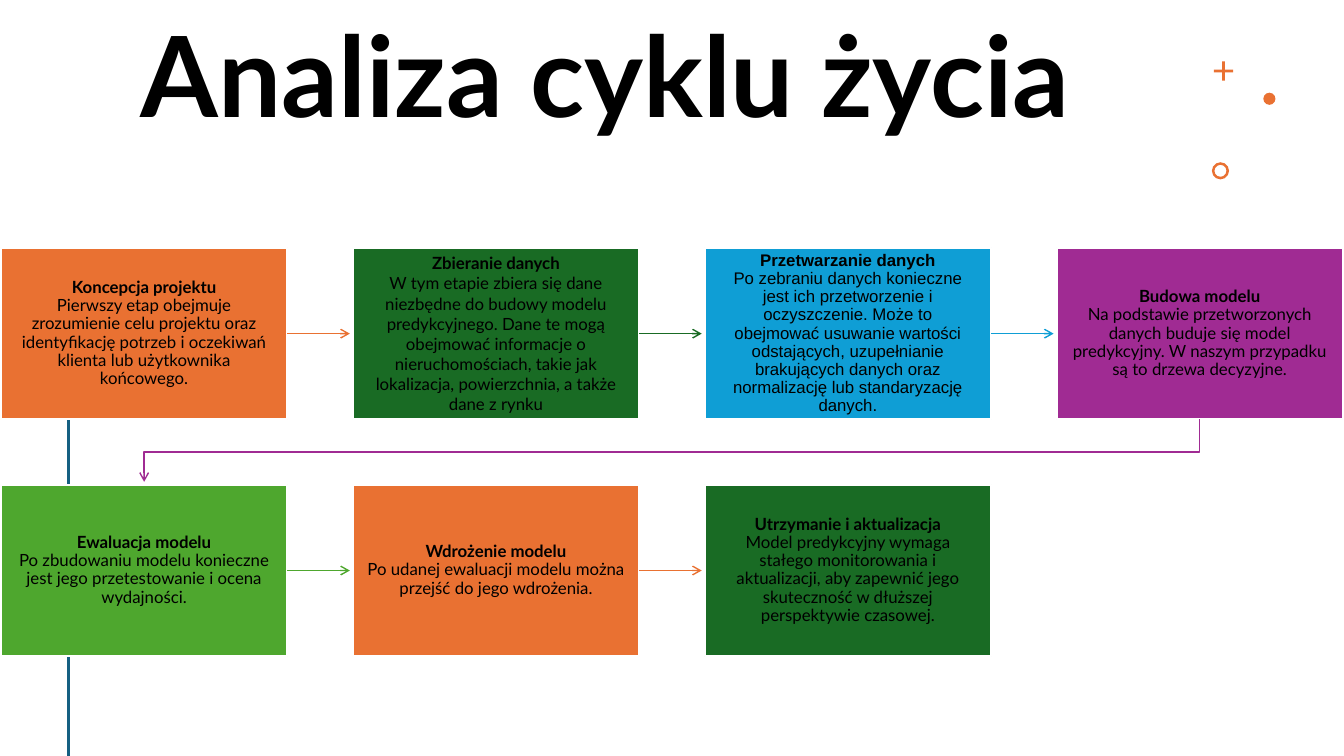
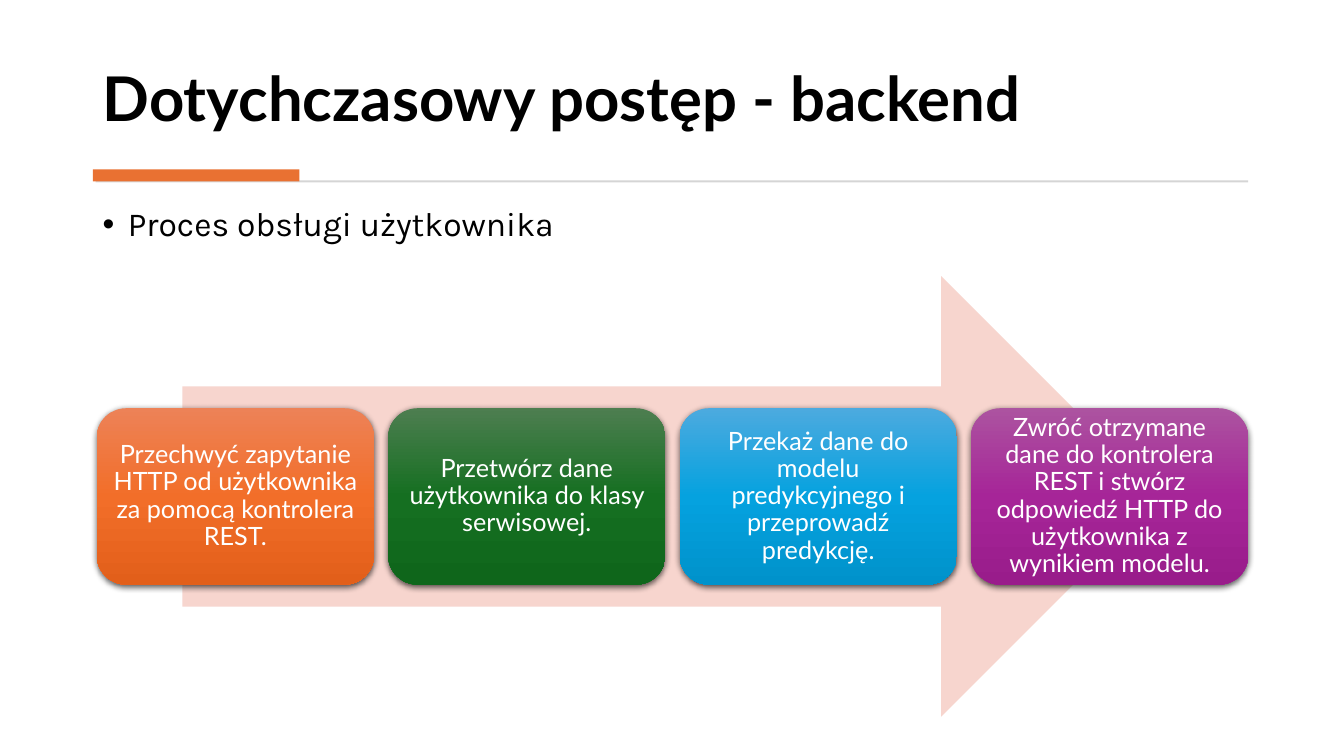
from copy import deepcopy

from lxml.etree import SubElement
from pptx import Presentation
from pptx.dml.color import RGBColor
from pptx.enum.shapes import MSO_CONNECTOR, MSO_SHAPE
from pptx.enum.text import MSO_ANCHOR, PP_ALIGN
from pptx.oxml import parse_xml
from pptx.oxml.ns import nsdecls, qn
from pptx.util import Inches, Pt

BLACK = RGBColor(0x00, 0x00, 0x00)
WHITE = RGBColor(0xFF, 0xFF, 0xFF)
ORANGE = RGBColor(0xE9, 0x71, 0x32)
DARK_GREEN = RGBColor(0x19, 0x6B, 0x24)
BLUE = RGBColor(0x0F, 0x9E, 0xD5)
PURPLE = RGBColor(0xA0, 0x2B, 0x93)
GREEN = RGBColor(0x4E, 0xA7, 0x2E)
TEAL = RGBColor(0x15, 0x60, 0x82)
GREY = RGBColor(0xD5, 0xD5, 0xD5)
PINK = RGBColor(0xF7, 0xD5, 0xCE)


def add_text(slide, text, left, top, width, height, size, font="Lato", bold=False,
             anchor=MSO_ANCHOR.TOP):
    box = slide.shapes.add_textbox(Inches(left), Inches(top), Inches(width), Inches(height))
    frame = box.text_frame
    frame.word_wrap = True
    frame.vertical_anchor = anchor
    frame.text = text
    paragraph = frame.paragraphs[0]
    paragraph.line_spacing = 0.9
    run_font = paragraph.runs[0].font
    run_font.name, run_font.size, run_font.bold = font, Pt(size), bold
    run_font.color.rgb = BLACK
    return paragraph


def add_block(slide, kind, left, top, width, height, color):
    block = slide.shapes.add_shape(kind, Inches(left), Inches(top), Inches(width), Inches(height))
    block.shadow.inherit = False
    block.fill.solid()
    block.fill.fore_color.rgb = color
    block.line.fill.background()
    return block


prs = Presentation()
prs.slide_width, prs.slide_height = Inches(13.33), Inches(7.5)
blank = prs.slide_layouts[6]

# Slide 1: life cycle
cycle = prs.slides.add_slide(blank)
add_text(cycle, "Analiza cyklu życia", 1.3, 0.15, 10.23, 1.31, 80, bold=True,
         anchor=MSO_ANCHOR.MIDDLE)

# Corner ornaments
plus = add_block(cycle, MSO_SHAPE.CROSS, 12.04, 0.61, 0.19, 0.19, ORANGE)
plus.adjustments[0] = 0.43
add_block(cycle, MSO_SHAPE.OVAL, 12.53, 0.92, 0.12, 0.12, ORANGE)
ring = add_block(cycle, MSO_SHAPE.DONUT, 12.02, 1.61, 0.17, 0.17, ORANGE)
ring.adjustments[0] = 0.15

# Vertical rule behind the stages
rule = cycle.shapes.add_connector(MSO_CONNECTOR.STRAIGHT, Inches(0.68), Inches(3.95),
                                  Inches(0.68), Inches(7.5))
rule.line.color.rgb = TEAL
rule.line.width = Pt(2)
SubElement(rule._element.spPr, qn("a:effectLst"))

# Stages, four to a row
STAGES = [
    ("Koncepcja projektu", "Pierwszy etap obejmuje zrozumienie celu projektu oraz identyfikację "
     "potrzeb i oczekiwań klienta lub użytkownika końcowego.", ORANGE, "Lato", 0.9),
    ("Zbieranie danych", "W tym etapie zbiera się dane niezbędne do budowy modelu predykcyjnego. "
     "Dane te mogą obejmować informacje o nieruchomościach, takie jak lokalizacja, "
     "powierzchnia, a także dane z rynku", DARK_GREEN, "Lato", 1.0),
    ("Przetwarzanie danych", "Po zebraniu danych konieczne jest ich przetworzenie i "
     "oczyszczenie. Może to obejmować usuwanie wartości odstających, uzupełnianie brakujących "
     "danych oraz normalizację lub standaryzację danych.", BLUE, "Arial", 0.9),
    ("Budowa modelu", "Na podstawie przetworzonych danych buduje się model predykcyjny. "
     "W naszym przypadku są to drzewa decyzyjne.", PURPLE, "Lato", 0.9),
    ("Ewaluacja modelu", "Po zbudowaniu modelu konieczne jest jego przetestowanie i ocena "
     "wydajności.", GREEN, "Lato", 0.9),
    ("Wdrożenie modelu", "Po udanej ewaluacji modelu można przejść do jego wdrożenia.",
     ORANGE, "Lato", 0.9),
    ("Utrzymanie i aktualizacja", "Model predykcyjny wymaga stałego monitorowania i "
     "aktualizacji, aby zapewnić jego skuteczność w dłuższej perspektywie czasowej.",
     DARK_GREEN, "Lato", 0.9),
]
COLUMNS = 4
STAGE_W, STAGE_H = 2.84, 1.7
STAGE_LEFT, STAGE_TOP = 0.01, 2.46
STEP_X, STEP_Y = 3.49, 2.35
ARROW_GAP = 0.03

for i, (heading, body, color, font, spacing) in enumerate(STAGES):
    row, column = divmod(i, COLUMNS)
    left, top = STAGE_LEFT + column * STEP_X, STAGE_TOP + row * STEP_Y
    stage = add_block(cycle, MSO_SHAPE.RECTANGLE, left, top, STAGE_W, STAGE_H, color)
    stage.line.color.rgb = WHITE
    stage.line.width = Pt(1.5)
    frame = stage.text_frame
    frame.word_wrap = True
    frame.vertical_anchor = MSO_ANCHOR.MIDDLE
    frame.margin_left = frame.margin_right = Inches(0.14)
    frame.margin_top = frame.margin_bottom = Inches(0.15)
    paragraph = frame.paragraphs[0]
    paragraph.text = f"{heading}\v{body}"
    paragraph.alignment = PP_ALIGN.CENTER
    paragraph.line_spacing = spacing
    for run, bold in zip(paragraph.runs, (True, False)):
        run.font.name, run.font.size, run.font.bold = font, Pt(12), bold
        run.font.color.rgb = BLACK
    line_break = paragraph._p.find(qn("a:br"))
    line_break.append(deepcopy(paragraph.runs[0]._r.rPr))

    # Arrow to the next stage
    if i == len(STAGES) - 1:
        continue
    if column < COLUMNS - 1:
        y = Inches(top + STAGE_H / 2)
        arrow = cycle.shapes.add_connector(
            MSO_CONNECTOR.STRAIGHT, Inches(left + STAGE_W), y,
            Inches(left + STEP_X - ARROW_GAP), y)
        SubElement(arrow._element.spPr, qn("a:effectLst"))
    else:
        start_x, end_x = left + STAGE_W / 2, STAGE_LEFT + STAGE_W / 2
        bottom, next_top = top + STAGE_H, top + STEP_Y
        middle = (bottom + next_top) / 2
        path = cycle.shapes.build_freeform(Inches(start_x), Inches(bottom))
        path.add_line_segments(
            [(Inches(x), Inches(y)) for x, y in
             ((start_x, middle), (end_x, middle), (end_x, next_top - ARROW_GAP))], close=False)
        arrow = path.convert_to_shape()
        arrow.fill.background()
        arrow.shadow.inherit = False
    arrow.line.color.rgb = color
    arrow.line.width = Pt(1)
    SubElement(arrow.line._get_or_add_ln(), qn("a:tailEnd"), type="arrow")

# Slide 2: backend progress
backend = prs.slides.add_slide(blank)
add_text(backend, "Dotychczasowy postęp - backend", 0.92, 0.28, 11.49, 1.11, 44, bold=True,
         anchor=MSO_ANCHOR.BOTTOM)
add_block(backend, MSO_SHAPE.RECTANGLE, 0.95, 1.79, 11.43, 0.02, GREY)
add_block(backend, MSO_SHAPE.RECTANGLE, 0.92, 1.68, 2.05, 0.12, ORANGE)

# Process arrow with its steps
add_block(backend, MSO_SHAPE.RIGHT_ARROW, 1.81, 2.74, 9.71, 4.37, PINK)
STEPS = [
    ("Przechwyć zapytanie HTTP od użytkownika za pomocą kontrolera REST.",
     ("ED8257", "F26E29", "E25F1A")),
    ("Przetwórz dane użytkownika do klasy serwisowej.", ("4D7E50", "156F21", "0F661B")),
    ("Przekaż dane do modelu predykcyjnego i przeprowadź predykcję.",
     ("4CAADF", "05A2DF", "0092CB")),
    ("Zwróć otrzymane dane do kontrolera REST i stwórz odpowiedź HTTP do użytkownika "
     "z wynikiem modelu.", ("AC53A0", "A62598", "991C8B")),
]
for i, (text, shades) in enumerate(STEPS):
    step = add_block(backend, MSO_SHAPE.ROUNDED_RECTANGLE, 0.96 + i * 2.89, 4.05, 2.75, 1.75,
                     ORANGE)
    properties = step._element.spPr
    stops = "".join(f'<a:gs pos="{position}"><a:srgbClr val="{shade}"/></a:gs>'
                    for position, shade in zip((0, 50000, 100000), shades))
    properties.replace(properties.find(qn("a:solidFill")), parse_xml(
        f'<a:gradFill {nsdecls("a")} rotWithShape="1"><a:gsLst>{stops}</a:gsLst>'
        '<a:lin ang="5400000" scaled="0"/></a:gradFill>'))
    properties.find(qn("a:effectLst")).append(parse_xml(
        f'<a:outerShdw {nsdecls("a")} blurRad="{Pt(4.5)}" dist="{Pt(1.5)}" dir="5400000" '
        'algn="ctr" rotWithShape="0"><a:srgbClr val="000000"><a:alpha val="63000"/>'
        '</a:srgbClr></a:outerShdw>'))
    frame = step.text_frame
    frame.word_wrap = True
    frame.vertical_anchor = MSO_ANCHOR.MIDDLE
    frame.margin_left = frame.margin_right = Inches(0.07)
    frame.margin_top = frame.margin_bottom = Inches(0.07)
    frame.text = text
    paragraph = frame.paragraphs[0]
    paragraph.alignment = PP_ALIGN.CENTER
    paragraph.line_spacing = 0.9
    run_font = paragraph.runs[0].font
    run_font.name, run_font.size = "Lato", Pt(18)
    run_font.color.rgb = WHITE

# Bullet above the arrow
bullet = add_text(backend, "Proces obsługi użytkownika", 0.92, 2.01, 8.72, 0.59, 24, font="Karla")
bullet_format = bullet._p.get_or_add_pPr()
bullet_format.set("marL", str(Inches(0.25)))
bullet_format.set("indent", str(-Inches(0.25)))
SubElement(bullet_format, qn("a:buFont"), typeface="Arial")
SubElement(bullet_format, qn("a:buChar"), char="•")

prs.save("out.pptx")
